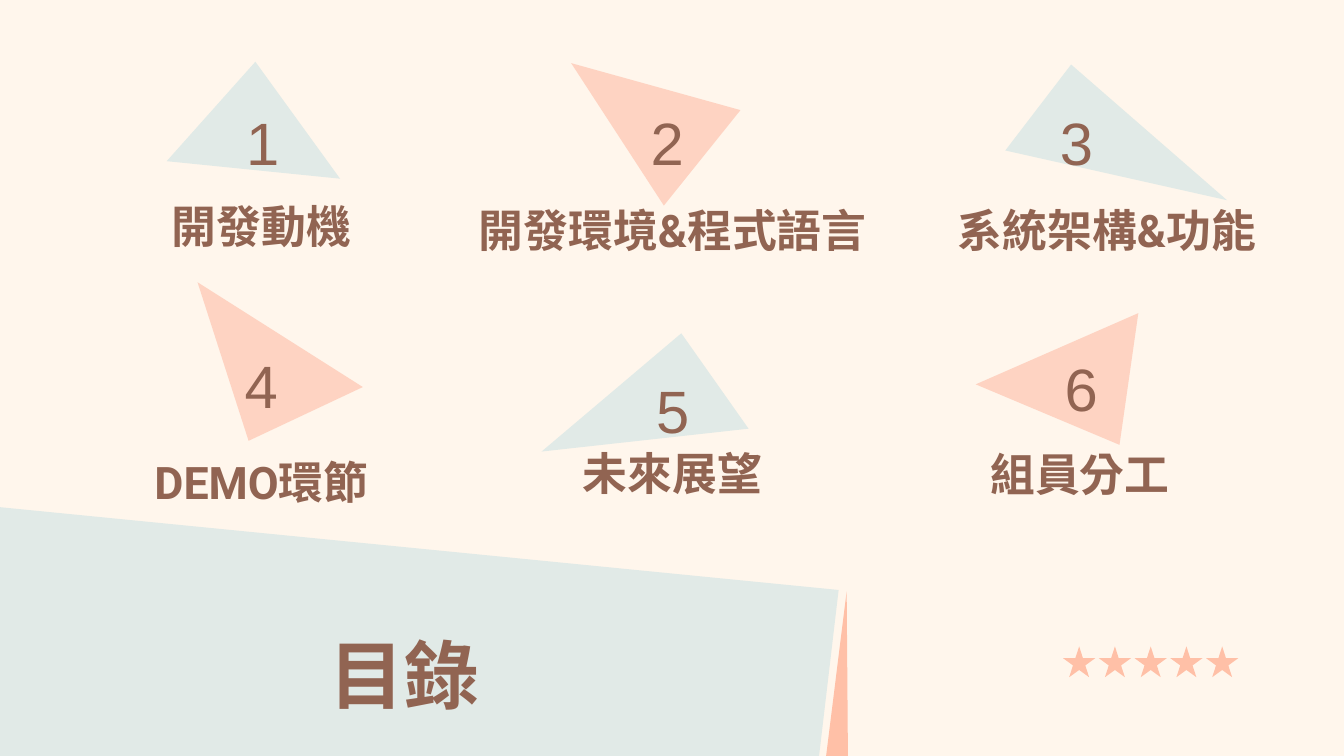
from dataclasses import dataclass

import pptx
import pptx.dml.color
import pptx.enum.lang
import pptx.enum.shapes
import pptx.enum.text
import pptx.oxml
import pptx.oxml.ns
import pptx.util
from pptx.util import Inches


@dataclass(frozen=True)
class Theme:
    background: str = "FFF6EC"
    mist: str = "E1EAE7"
    peach: str = "FED3C2"
    coral: str = "FFC0A7"
    brown: str = "916452"
    heading_font: str = "Arial"
    topic_font: str = "Roboto"
    title_size: int = 40
    number_size: int = 32
    topic_size: int = 24


@dataclass(frozen=True)
class Topic:
    number: str
    name: str
    triangle: tuple
    color: str
    number_box: tuple
    name_box: tuple
    right_inset: float = 0.1


THEME = Theme()
ANCHOR = pptx.enum.text.MSO_ANCHOR

TOPICS = [
    Topic("1", "開發動機", ((1.24, 1.2), (1.9, 0.46), (2.53, 1.33)), THEME.mist,
          (1.52, 0.9, 0.87, 0.31), (0.75, 1.52, 2.39, 0.31)),
    Topic("2", "開發環境&程式語言", ((5.51, 0.82), (4.94, 1.53), (4.25, 0.47)), THEME.peach,
          (4.53, 0.9, 0.87, 0.31), (3.38, 1.55, 3.25, 0.31)),
    Topic("3", "系統架構&功能", ((9.13, 1.49), (7.97, 0.48), (7.48, 1.12)), THEME.mist,
          (7.56, 0.9, 0.9, 0.31), (6.88, 1.55, 2.71, 0.31)),
    Topic("4", "DEMO環節", ((1.47, 2.1), (1.85, 3.28), (2.7, 2.88)), THEME.peach,
          (1.51, 2.71, 0.87, 0.31), (0.75, 3.43, 2.39, 0.31)),
    Topic("5", "未來展望", ((4.03, 3.36), (5.07, 2.48), (5.57, 3.19)), THEME.mist,
          (4.57, 2.89, 0.87, 0.31), (3.77, 3.36, 2.39, 0.31), 0.02),
    Topic("6", "組員分工", ((8.47, 2.33), (8.33, 3.31), (7.26, 2.86)), THEME.peach,
          (7.61, 2.73, 0.87, 0.31), (6.84, 3.37, 2.39, 0.31)),
]


def rgb(color):
    return pptx.dml.color.RGBColor.from_string(color)


def paint(shape, color):
    shape.shadow.inherit = False
    shape.fill.solid()
    shape.fill.fore_color.rgb = rgb(color)
    shape.line.fill.background()


def add_polygon(slide, corners, color):
    start, *rest = [(Inches(x), Inches(y)) for x, y in corners]
    outline = slide.shapes.build_freeform(*start)
    outline.add_line_segments(rest, close=True)
    paint(outline.convert_to_shape(), color)


def add_label(slide, box, text, size, font, bold=False,
              anchor=ANCHOR.MIDDLE, right_inset=0.1):
    label = slide.shapes.add_textbox(*map(Inches, box))
    frame = label.text_frame
    frame.word_wrap = True
    frame.vertical_anchor = anchor
    frame.margin_left = frame.margin_top = frame.margin_bottom = Inches(0.1)
    frame.margin_right = Inches(right_inset)
    paragraph = frame.paragraphs[0]
    paragraph.alignment = pptx.enum.text.PP_ALIGN.CENTER
    run = paragraph.add_run()
    run.text = text
    run.font.size = pptx.util.Pt(size)
    run.font.bold = bold
    run.font.color.rgb = rgb(THEME.brown)
    run.font.name = font
    run.font.language_id = pptx.enum.lang.MSO_LANGUAGE_ID.TRADITIONAL_CHINESE
    east_asian = pptx.oxml.parse_xml(
        f'<a:ea {pptx.oxml.ns.nsdecls("a")} typeface="{font}"/>')
    run._r.get_or_add_rPr().append(east_asian)


def add_stars(slide, count=5, left=7.91, pitch=0.266):
    for index in range(count):
        star = slide.shapes.add_shape(
            pptx.enum.shapes.MSO_SHAPE.STAR_5_POINT,
            Inches(left + index * pitch), Inches(4.81), Inches(0.24), Inches(0.23))
        paint(star, THEME.coral)


def add_topic(slide, topic):
    add_polygon(slide, topic.triangle, topic.color)
    add_label(slide, topic.name_box, topic.name, THEME.topic_size,
              THEME.topic_font, bold=True, right_inset=topic.right_inset)
    add_label(slide, topic.number_box, topic.number, THEME.number_size,
              THEME.heading_font)


def main():
    presentation = pptx.Presentation()
    presentation.slide_width = Inches(10)
    presentation.slide_height = Inches(5.625)
    slide = presentation.slides.add_slide(presentation.slide_layouts[6])
    slide.background.fill.solid()
    slide.background.fill.fore_color.rgb = rgb(THEME.background)

    add_polygon(slide, ((6.08, 5.75), (-0.3, 5.73), (-0.34, 3.74), (6.24, 4.39)), THEME.mist)
    add_polygon(slide, ((6.3, 4.4), (6.31, 5.74), (6.13, 5.76)), THEME.coral)
    add_stars(slide)
    add_label(slide, (0, 4.58, 6.02, 1.12), "目錄", THEME.title_size,
              THEME.heading_font, bold=True, anchor=ANCHOR.TOP)
    for topic in TOPICS:
        add_topic(slide, topic)

    presentation.save("out.pptx")


if __name__ == "__main__":
    main()
